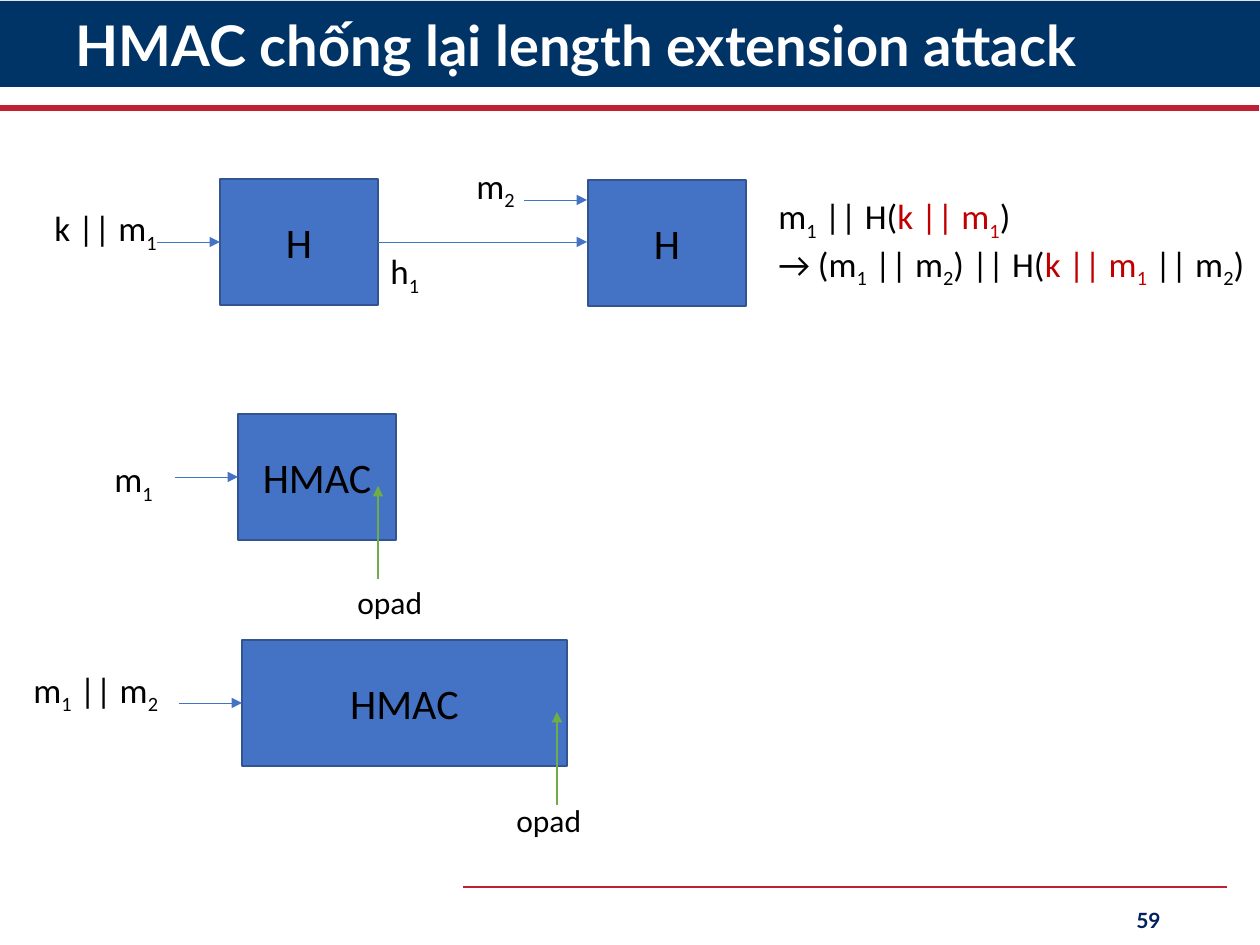
"""Build the slide on how HMAC resists the length extension attack."""
import pptx
import pptx.dml.color
import pptx.enum.shapes
import pptx.enum.text
import pptx.oxml.xmlchemy
import pptx.util

RGBColor = pptx.dml.color.RGBColor
NAVY = RGBColor(0x00, 0x33, 0x66)
NUMBER_BLUE = RGBColor(0x00, 0x20, 0x60)
CRIMSON = RGBColor(0xC0, 0x20, 0x34)
RED = RGBColor(0xC0, 0x00, 0x00)
BLUE = RGBColor(0x44, 0x72, 0xC4)
EDGE_BLUE = RGBColor(0x32, 0x54, 0x91)
GREEN = RGBColor(0x70, 0xAD, 0x47)
BLACK = RGBColor(0x00, 0x00, 0x00)
WHITE = RGBColor(0xFF, 0xFF, 0xFF)

EMU_PER_PX = 914400 / 126
BOX_WIDTH, BOX_HEIGHT = 158, 126
ARROW_LENGTH = 63
OPAD_LENGTH = 93


def px(*lengths):
    """Turn pixel lengths into EMU."""
    return [pptx.util.Emu(round(length * EMU_PER_PX)) for length in lengths]


def set_font(paragraph, size, color, name="Calibri", bold=False):
    """Set the font of a whole paragraph."""
    font = paragraph.font
    font.name, font.size, font.bold = name, pptx.util.Pt(size), bold
    font.color.rgb = color


def add_rectangle(slide, left, top, width, height, fill, edge=None):
    """Add a flat rectangle, with an edge only if one is given."""
    shape = slide.shapes.add_shape(
        pptx.enum.shapes.MSO_SHAPE.RECTANGLE, *px(left, top, width, height))
    shape.shadow.inherit = False
    shape.fill.solid()
    shape.fill.fore_color.rgb = fill
    if edge is None:
        shape.line.fill.background()
    else:
        shape.line.color.rgb = edge
        shape.line.width = pptx.util.Pt(1)
    return shape


def add_block(slide, label, left, top, width=BOX_WIDTH):
    """Add a hash block with a centred label."""
    shape = add_rectangle(slide, left, top, width, BOX_HEIGHT, BLUE, EDGE_BLUE)
    shape.text_frame.vertical_anchor = pptx.enum.text.MSO_ANCHOR.MIDDLE
    paragraph = shape.text_frame.paragraphs[0]
    paragraph.text = label
    paragraph.alignment = pptx.enum.text.PP_ALIGN.CENTER
    set_font(paragraph, 24, BLACK)


def add_line(slide, start, end, color, width):
    """Add a straight line without shadow."""
    connector = slide.shapes.add_connector(
        pptx.enum.shapes.MSO_CONNECTOR.STRAIGHT, *px(*start, *end))
    connector.line.color.rgb = color
    connector.line.width = pptx.util.Pt(width)
    properties = connector._element.spPr
    properties.append(pptx.oxml.xmlchemy.OxmlElement("a:effectLst"))
    return connector


def add_arrow(slide, start, end, color=BLUE, width=0.5):
    """Add a line with a triangle at its end."""
    connector = add_line(slide, start, end, color, width)
    head = pptx.oxml.xmlchemy.OxmlElement("a:tailEnd")
    head.set("type", "triangle")
    connector.line._get_or_add_ln().append(head)


def add_input_arrow(slide, tip_left, tip_top):
    """Add the short arrow that leads into a block."""
    add_arrow(slide, (tip_left - ARROW_LENGTH, tip_top), (tip_left, tip_top))


def add_text_box(slide, left, top, width, height):
    """Add a wrapping text box and return its text frame."""
    frame = slide.shapes.add_textbox(*px(left, top, width, height)).text_frame
    frame.word_wrap = True
    return frame


def add_banner_text(slide, text, bounds, size, color, alignment):
    """Add bold, vertically centred text for the title or page number."""
    frame = add_text_box(slide, *bounds)
    frame.vertical_anchor = pptx.enum.text.MSO_ANCHOR.MIDDLE
    paragraph = frame.paragraphs[0]
    paragraph.text = text
    paragraph.alignment = alignment
    set_font(paragraph, size, color, "Lato", True)
    return paragraph


def add_run(paragraph, text, color, subscript=False):
    """Add a run, lowered if it is a subscript."""
    if not text:
        return
    run = paragraph.add_run()
    run.text = text
    if color != BLACK:
        run.font.color.rgb = color
    if subscript:
        run._r.get_or_add_rPr().set("baseline", "-25000")


def fill_formula(paragraph, *segments, size=20):
    """Write black and red segments in turn; an underscore lowers the next character."""
    set_font(paragraph, size, BLACK)
    for index, segment in enumerate(segments):
        color = RED if index % 2 else BLACK
        plain, *lowered = segment.split("_")
        add_run(paragraph, plain, color)
        for piece in lowered:
            add_run(paragraph, piece[0], color, True)
            add_run(paragraph, piece[1:], color)


def add_label(slide, text, left, top, width=136, height=55, size=20):
    """Add a one-line formula label."""
    frame = add_text_box(slide, left, top, width, height)
    fill_formula(frame.paragraphs[0], text, size=size)


def add_opad(slide, tip, label_left, label_top):
    """Add the green outer padding arrow and its label."""
    add_arrow(slide, (tip[0], tip[1] + OPAD_LENGTH), tip, GREEN, 1)
    add_label(slide, "opad", label_left, label_top, height=50, size=18)


def add_frame(slide):
    """Add the title band, the rules and the page number."""
    add_rectangle(slide, 0, 1, 1260, 86, NAVY)
    add_line(slide, (-1, 108), (1259, 108), CRIMSON, 3.5)
    add_line(slide, (463, 887), (1227, 887), CRIMSON, 1.5)
    title = add_banner_text(
        slide, "HMAC chống lại length extension attack", (63, 10, 1110, 77),
        32, WHITE, pptx.enum.text.PP_ALIGN.LEFT)
    title.line_spacing = 0.9
    add_banner_text(slide, "59", (890, 895, 283, 50), 12, NUMBER_BLUE,
                    pptx.enum.text.PP_ALIGN.RIGHT)


def add_attack(slide):
    """Add the chained hash blocks and the forged formula."""
    add_block(slide, "H", 220, 179)
    add_input_arrow(slide, 220, 242)
    add_label(slide, "k || m_1", 42, 200)
    add_arrow(slide, (378, 242), (587, 242))
    add_label(slide, "h_1", 378, 243, 179)
    add_block(slide, "H", 588, 180)
    add_input_arrow(slide, 587, 200)
    add_label(slide, "m_2", 464, 158)
    frame = add_text_box(slide, 766, 188, 504, 97)
    fill_formula(frame.paragraphs[0], "m_1 || H(", "k || m_1", ")")
    fill_formula(frame.add_paragraph(),
                 "→ (m_1 || m_2) || H(", "k || m_1", " || m_2)")


def add_defence(slide):
    """Add the two HMAC blocks with their outer padding."""
    add_block(slide, "HMAC", 238, 414)
    add_input_arrow(slide, 238, 477)
    add_label(slide, "m_1", 102, 451)
    add_opad(slide, (378, 486), 345, 577)
    add_block(slide, "HMAC", 242, 640, 325)
    add_input_arrow(slide, 242, 703)
    add_label(slide, "m_1 || m_2", 21, 662, 179)
    add_opad(slide, (557, 712), 504, 795)


def main():
    """Build and save the presentation."""
    presentation = pptx.Presentation()
    presentation.slide_width, presentation.slide_height = px(1260, 945)
    slide = presentation.slides.add_slide(presentation.slide_layouts[6])
    add_frame(slide)
    add_attack(slide)
    add_defence(slide)
    presentation.save("out.pptx")


if __name__ == "__main__":
    main()
